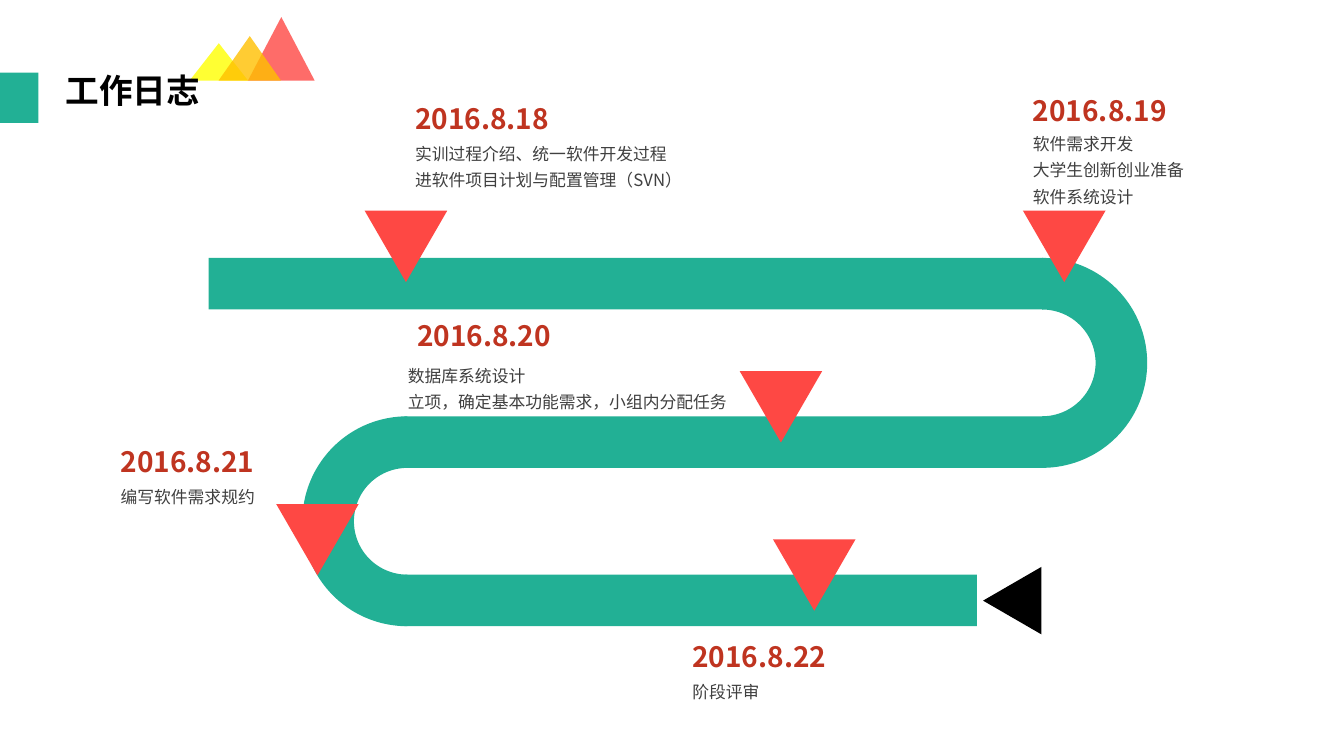
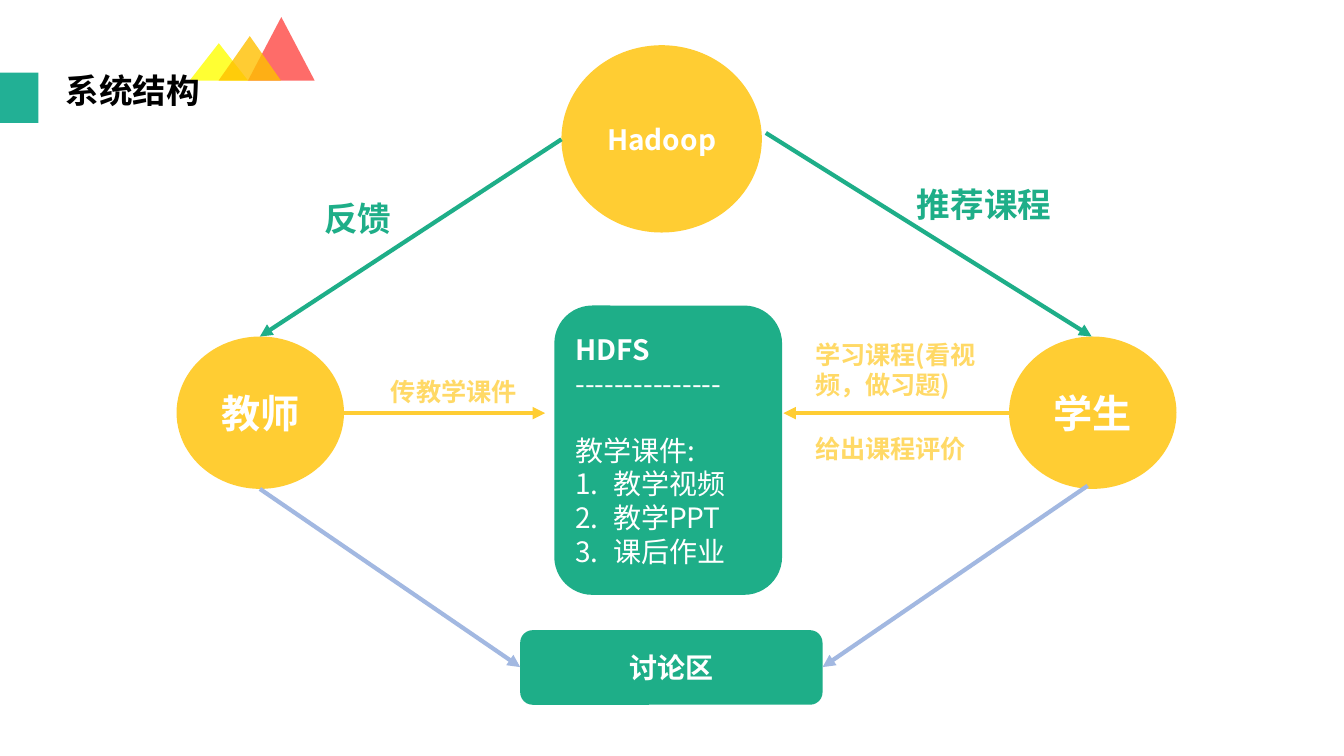
from dataclasses import dataclass

from lxml.etree import SubElement
from pptx import Presentation
from pptx.dml.color import RGBColor
from pptx.enum.dml import MSO_FILL
from pptx.enum.lang import MSO_LANGUAGE_ID
from pptx.enum.shapes import MSO_CONNECTOR, MSO_SHAPE
from pptx.enum.text import MSO_ANCHOR, MSO_AUTO_SIZE, PP_ALIGN
from pptx.oxml.ns import qn
from pptx.util import Cm, Pt


@dataclass(frozen=True)
class Theme:
    teal: str = "22B095"
    green: str = "1EAE88"
    red: str = "FE4844"
    date_red: str = "BF3420"
    yellow: str = "FFCD33"
    label_yellow: str = "FFD966"
    peak_yellow: str = "FFFF00"
    peak_amber: str = "FFC000"
    blue: str = "A2B8E1"
    gray: str = "404040"
    black: str = "000000"
    white: str = "FFFFFF"
    title_font: str = "Calibri"
    body_font: str = "Noto Sans CJK SC"
    detail_size: int = 12
    label_size: int = 18
    node_size: int = 20
    title_size: int = 24
    role_size: int = 28
    arrow_width: int = 3


THEME = Theme()


@dataclass(frozen=True)
class LogEntry:
    """Positions are (left, top) in centimetres."""
    date: str
    details: str
    date_at: tuple
    details_at: tuple
    marker_at: tuple


LOG_ENTRIES = (
    LogEntry("2016.8.18", "实训过程介绍、统一软件开发过程\n进软件项目计划与配置管理（SVN）",
             (10.21, 2.44), (10.21, 3.35), (9.19, 5.31)),
    LogEntry("2016.8.19", "软件需求开发\n大学生创新创业准备\n软件系统设计",
             (25.78, 2.24), (25.78, 3.1), (25.78, 5.31)),
    LogEntry("2016.8.20", "数据库系统设计\n立项，确定基本功能需求，小组内分配任务",
             (10.26, 7.9), (10.03, 8.94), (18.64, 9.35)),
    LogEntry("2016.8.21", "编写软件需求规约",
             (2.79, 11.07), (2.79, 11.99), (6.96, 12.7)),
    LogEntry("2016.8.22", "阶段评审",
             (17.2, 15.98), (17.2, 16.89), (19.48, 13.59)),
)


def write_text(frame, text, *, size, color, bold=False, font=THEME.body_font,
               align=PP_ALIGN.LEFT, line_spacing=None, space_before=None,
               numbered=False):
    """Add each line of text as a paragraph, filling an empty first one."""
    for line in text.split("\n"):
        paragraph = frame.paragraphs[0] if not frame.text else frame.add_paragraph()
        paragraph.alignment = align
        if line_spacing is not None:
            paragraph.line_spacing = line_spacing
        if space_before is not None:
            paragraph.space_before = Pt(space_before)
        if numbered:
            properties = paragraph._p.get_or_add_pPr()
            properties.set("marL", str(Cm(0.95)))
            properties.set("indent", str(-Cm(0.95)))
            SubElement(properties, qn("a:buAutoNum"), type="arabicPeriod")
        run = paragraph.add_run()
        run.text = line
        run.font.size = Pt(size)
        run.font.bold = bold
        run.font.color.rgb = RGBColor.from_string(color)
        run.font.name = font
        run.font.language_id = MSO_LANGUAGE_ID.SIMPLIFIED_CHINESE
        SubElement(run._r.get_or_add_rPr(), qn("a:ea"), typeface=THEME.body_font)


def add_filled_shape(slide, kind, left, top, width, height, color,
                     rotation=0, opacity=None):
    shape = slide.shapes.add_shape(kind, Cm(left), Cm(top), Cm(width), Cm(height))
    shape.shadow.inherit = False
    shape.rotation = rotation
    shape.fill.solid()
    shape.fill.fore_color.rgb = RGBColor.from_string(color)
    shape.line.fill.background()
    if opacity is not None and shape.fill.type == MSO_FILL.SOLID:
        color_element = shape.element.find(".//" + qn("a:srgbClr"))
        SubElement(color_element, qn("a:alpha"), val=str(opacity * 1000))
    return shape


def add_node(slide, kind, box, color, text=None, size=THEME.node_size):
    shape = add_filled_shape(slide, kind, *box, color)
    frame = shape.text_frame
    frame.word_wrap = True
    frame.vertical_anchor = MSO_ANCHOR.MIDDLE
    if text:
        write_text(frame, text, size=size, color=THEME.white, bold=True,
                   align=PP_ALIGN.CENTER)
    return frame


def add_label(slide, text, left, top, width, height, **text_format):
    box = slide.shapes.add_textbox(Cm(left), Cm(top), Cm(width), Cm(height))
    frame = box.text_frame
    frame.word_wrap = True
    frame.auto_size = MSO_AUTO_SIZE.SHAPE_TO_FIT_TEXT
    write_text(frame, text, **text_format)


def add_arrow(slide, start, end, color):
    connector = slide.shapes.add_connector(
        MSO_CONNECTOR.STRAIGHT, *(Cm(value) for value in (*start, *end)))
    connector.line.width = Pt(THEME.arrow_width)
    connector.line.color.rgb = RGBColor.from_string(color)
    SubElement(connector.line._get_or_add_ln(), qn("a:tailEnd"), type="triangle")
    SubElement(connector.element.spPr, qn("a:effectLst"))


def add_titled_slide(presentation, layout, title):
    slide = presentation.slides.add_slide(layout)
    frame = slide.shapes.title.text_frame
    frame.vertical_anchor = MSO_ANCHOR.TOP
    frame.auto_size = MSO_AUTO_SIZE.NONE
    write_text(frame, title, size=THEME.title_size, color=THEME.black, bold=True,
               font=THEME.title_font, line_spacing=0.9)
    return slide


def decorate_layout(layout, slide):
    """Draw the shared decoration on a slide, then move it to its layout."""
    peaks_base = 2.03
    decoration = [
        add_filled_shape(slide, MSO_SHAPE.ISOSCELES_TRIANGLE, left,
                         peaks_base - height, width, height, color, opacity=80)
        for left, width, height, color in (
            (6.25, 1.68, 1.6, THEME.red),
            (4.78, 1.47, 0.94, THEME.peak_yellow),
            (5.51, 1.57, 1.12, THEME.peak_amber))
    ]
    decoration.append(add_filled_shape(
        slide, MSO_SHAPE.RECTANGLE, 0, 1.83, 0.97, 1.27, THEME.teal))
    for number, shape in enumerate(decoration, start=100):
        shape.element.find(".//" + qn("p:cNvPr")).set("id", str(number))
        layout.shapes.element.append(shape.element)


def place_layout_title(layout):
    title = layout.placeholders[0]
    title.left, title.top = Cm(1.4), Cm(1.75)
    title.width, title.height = Cm(7.72), Cm(1.78)


def add_road(slide):
    thickness, pitch, first_row = 1.3, 3.99, 6.5
    diameter = pitch + thickness
    for row, (left, width) in enumerate(((5.26, 21.03), (10.19, 16.08), (10.19, 14.43))):
        add_filled_shape(slide, MSO_SHAPE.RECTANGLE, left, first_row + row * pitch,
                         width, thickness, THEME.teal)
    for row, (left, rotation) in enumerate(((23.62, 90), (7.62, 270))):
        bend = add_filled_shape(slide, MSO_SHAPE.BLOCK_ARC, left,
                                first_row + row * pitch, diameter, diameter,
                                THEME.teal, rotation=rotation)
        for index, value in enumerate((108, 0, thickness / diameter)):
            bend.adjustments[index] = value
    add_filled_shape(slide, MSO_SHAPE.ISOSCELES_TRIANGLE, 24.66, 14.4, 1.7, 1.47,
                     THEME.black, rotation=270)


def add_log_entry(slide, entry):
    add_filled_shape(slide, MSO_SHAPE.ISOSCELES_TRIANGLE, *entry.marker_at, 2.08, 1.8,
                     THEME.red, rotation=180)
    line_count = len(entry.details.split("\n"))
    add_label(slide, entry.details, *entry.details_at, 9.73 if line_count == 2 else 7.49,
              0.25 + 0.66 * line_count, size=THEME.detail_size, color=THEME.gray,
              line_spacing=1.3)
    add_label(slide, entry.date, *entry.date_at, 7.49, 1.17,
              size=THEME.node_size, color=THEME.date_red, bold=True)


def add_storage_node(slide):
    frame = add_node(slide, MSO_SHAPE.ROUNDED_RECTANGLE, (13.97, 7.7, 5.74, 7.29),
                     THEME.green)
    style = {"size": THEME.node_size, "color": THEME.white}
    write_text(frame, "HDFS", bold=True, **style)
    write_text(frame, "---------------", **style)
    write_text(frame, "教学课件:", space_before=24, **style)
    write_text(frame, "教学视频\n教学PPT\n课后作业", numbered=True, **style)


def add_structure(slide):
    for text, left in (("教师", 4.45), ("学生", 25.43)):
        add_node(slide, MSO_SHAPE.OVAL, (left, 8.48, 4.22, 3.84), THEME.yellow,
                 text, THEME.role_size)
    add_storage_node(slide)
    add_node(slide, MSO_SHAPE.ROUNDED_RECTANGLE, (13.11, 15.88, 7.62, 1.88),
             THEME.green, "讨论区")
    add_node(slide, MSO_SHAPE.OVAL, (14.15, 1.14, 5.05, 4.72), THEME.yellow, "Hadoop")

    for start, end, color in (
            ((8.66, 10.41), (13.74, 10.41), THEME.yellow),
            ((25.43, 10.41), (19.74, 10.41), THEME.yellow),
            ((14.15, 3.51), (6.55, 8.48), THEME.green),
            ((19.3, 3.35), (27.51, 8.48), THEME.green),
            ((6.55, 12.32), (13.11, 16.81), THEME.blue),
            ((27.41, 12.24), (20.73, 16.81), THEME.blue)):
        add_arrow(slide, start, end, color)

    minor = {"size": THEME.label_size, "color": THEME.label_yellow}
    major = {"size": THEME.title_size, "color": THEME.green}
    for text, box, style in (
            ("传教学课件", (9.6, 9.35, 3.9, 1.02), minor),
            ("学习课程(看视频，做习题)", (20.29, 8.43, 5.13, 1.8), minor),
            ("给出课程评价", (20.29, 10.8, 5.13, 1.02), minor),
            ("反馈", (7.92, 4.85, 3.45, 1.27), major),
            ("推荐课程", (22.86, 4.52, 3.96, 1.27), major)):
        add_label(slide, text, *box, bold=True, **style)


def main():
    presentation = Presentation()
    presentation.slide_width, presentation.slide_height = Cm(33.87), Cm(19.05)
    layout = presentation.slide_layouts.get_by_name("Title Only")
    place_layout_title(layout)

    log_slide = add_titled_slide(presentation, layout, "工作日志")
    decorate_layout(layout, log_slide)
    add_road(log_slide)
    for entry in LOG_ENTRIES:
        add_log_entry(log_slide, entry)

    structure_slide = add_titled_slide(presentation, layout, "系统结构")
    add_structure(structure_slide)
    presentation.save("out.pptx")


if __name__ == "__main__":
    main()
